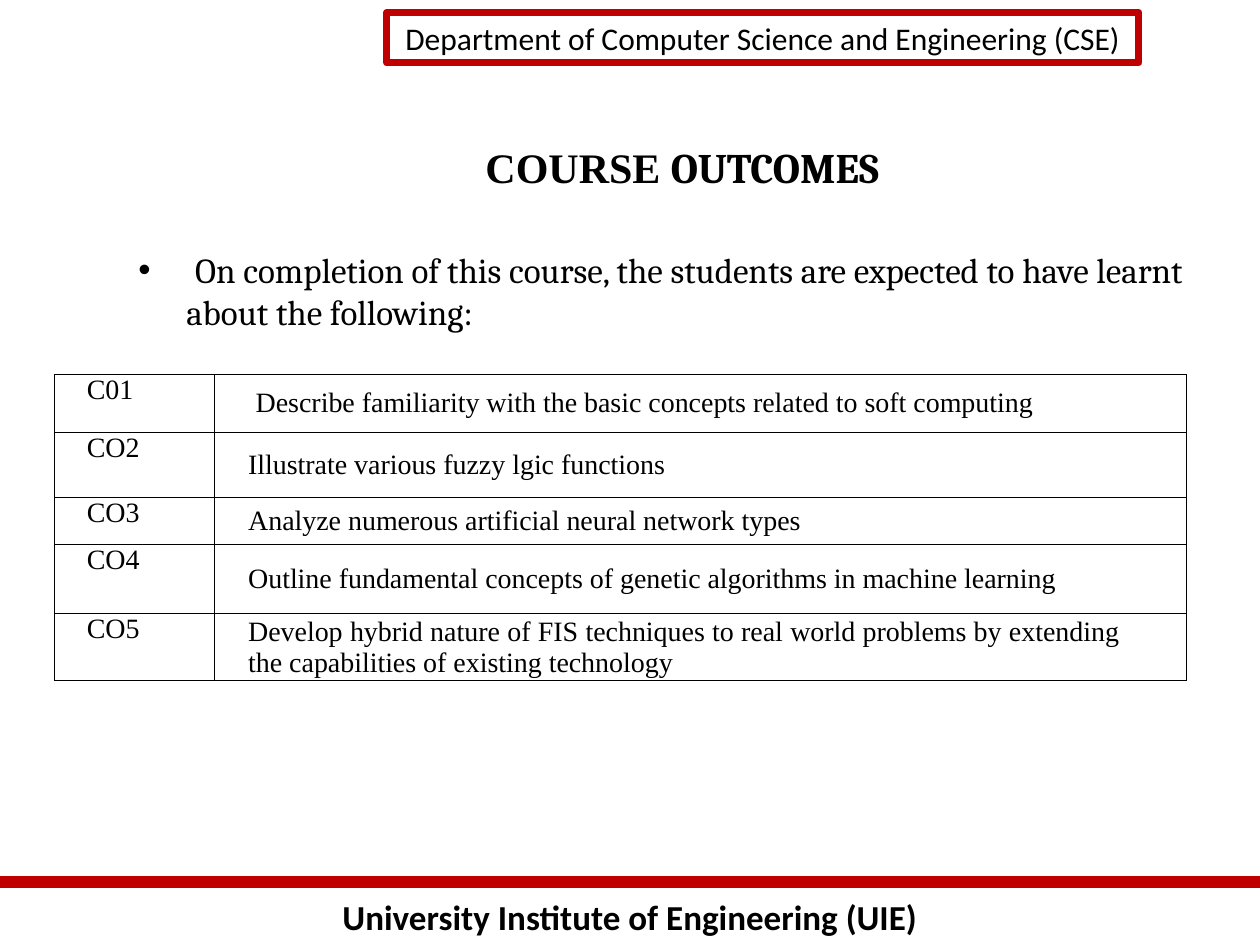
from lxml import etree
from pptx import Presentation
from pptx.dml.color import RGBColor
from pptx.enum import shapes, text
from pptx.oxml import parse_xml
from pptx.oxml.ns import nsdecls, qn
from pptx.util import Inches, Pt

BLACK = RGBColor(0, 0, 0)
RED = RGBColor(0xC0, 0, 0)
SANS, SERIF, TIMES = "Calibri", "Cambria", "Times New Roman"
MID, TOP = text.MSO_ANCHOR.MIDDLE, text.MSO_ANCHOR.TOP
MARGINS = (0.1, 0.05, 0.1, 0.05)
ROWS = [
    ("C01", "Describe familiarity with the basic concepts related to soft computing", 0.46),
    ("CO2", "Illustrate various fuzzy lgic functions", 0.52),
    ("CO3", "Analyze numerous artificial neural network types", 0.37),
    ("CO4", "Outline fundamental concepts of genetic algorithms in machine learning", 0.55),
    ("CO5", "Develop hybrid nature of FIS techniques to real world problems "
            "by extending the capabilities of existing technology", 0.49),
]


def write(frame, runs, size=16, bold=False, align="LEFT", indent=0, bullet=None):
    """Write (words, font) runs into the first paragraph of a frame."""
    para = frame.paragraphs[0]
    para.alignment = getattr(text.PP_ALIGN, align)
    props = para._p.get_or_add_pPr()
    if indent:
        props.set("marL", str(Inches(indent)))
    if bullet:
        props.set("indent", str(-Inches(indent)))
        etree.SubElement(props, qn("a:buFont")).set("typeface", "Arial")
        etree.SubElement(props, qn("a:buChar")).set("char", bullet)
    for words, name in runs:
        run = para.add_run()
        run.text = words
        font = run.font
        font.name, font.size, font.bold = name, Pt(size), bold
        font.color.rgb = BLACK


def setup(frame, anchor=TOP, margins=MARGINS):
    """Set wrapping, anchor and margins of a text frame."""
    frame.word_wrap = True
    frame.vertical_anchor = anchor
    (frame.margin_left, frame.margin_top,
     frame.margin_right, frame.margin_bottom) = map(Inches, margins)
    return frame


def label(slide, box, runs, anchor=TOP, margins=MARGINS, **style):
    """Add a text box."""
    shape = slide.shapes.add_textbox(*map(Inches, box))
    write(setup(shape.text_frame, anchor, margins), runs, **style)


def header(slide, box):
    """Add the framed department name."""
    shape = slide.shapes.add_shape(shapes.MSO_SHAPE.RECTANGLE, *map(Inches, box))
    shape.shadow.inherit = False
    shape.fill.background()
    shape.line.color.rgb = RED
    shape.line.width = Pt(4)
    name = "Department of Computer Science and Engineering (CSE)"
    write(setup(shape.text_frame), [(name, SANS)], size=18, align="CENTER")


def footer(slide, box):
    """Add the red rule and the institute name below it."""
    left, top, width, height = box
    ends = map(Inches, (left, top, left + width, top))
    rule = slide.shapes.add_connector(shapes.MSO_CONNECTOR.STRAIGHT, *ends)
    rule.line.color.rgb = RED
    rule.line.width = Pt(7)
    etree.SubElement(rule._element.spPr, qn("a:effectLst"))
    label(slide, (left, top + 0.06, width, height - 0.06),
          [("University Institute of Engineering (UIE)", SANS)],
          size=20, bold=True, align="CENTER")


def border(cell):
    """Draw thin black lines around a cell."""
    props = cell._tc.get_or_add_tcPr()
    for spot, side in enumerate("LRTB"):
        props.insert(spot, parse_xml(
            f'<a:ln{side} {nsdecls("a")} w="{Pt(0.5)}"><a:solidFill>'
            f'<a:srgbClr val="{BLACK}"/></a:solidFill></a:ln{side}>'))


def fill(cell, words, anchor, side, indent, right):
    """Format one cell and write its words."""
    cell.fill.background()
    border(cell)
    cell.vertical_anchor = anchor
    cell.margin_left, cell.margin_right = Inches(side), Inches(right)
    cell.margin_top = cell.margin_bottom = 0
    write(cell.text_frame, [(words, TIMES)], align="JUSTIFY", indent=indent)


def grid(slide, box):
    """Add the table of outcomes."""
    frame = slide.shapes.add_table(len(ROWS), 2, *map(Inches, box))
    table = frame.table
    table.first_row = table.horz_banding = False
    table.columns[0].width = Inches(1.27)
    table.columns[1].width = Inches(box[2] - 1.27)
    for row, (code, words, height) in enumerate(ROWS):
        table.rows[row].height = Inches(height)
        last = row == len(ROWS) - 1
        fill(table.cell(row, 0), code, TOP, 0.07, 0.19, 0.07)
        fill(table.cell(row, 1), words, MID, 0.08,
             0.19 if row else 0.25, 0.53 if last else 0.08)


def main():
    """Build and save the slide."""
    deck = Presentation()
    deck.slide_width, deck.slide_height = Inches(10), Inches(7.5)
    slide = deck.slides.add_slide(deck.slide_layouts[6])
    footer(slide, (0, 7, 10, 0.5))
    header(slide, (3.07, 0.1, 5.97, 0.4))
    label(slide, (1.08, 1.17, 8.67, 0.67),
          [("COURSE ", TIMES), ("OUTCOMES", SERIF)], anchor=MID,
          margins=(0.1, 0.05, 0.1, 0.41), size=24, bold=True, align="CENTER")
    label(slide, (1, 1.92, 8.75, 4.92),
          [(" ", TIMES), ("On completion of this course, the students are expected "
                          "to have learnt about the following:", SERIF)],
          size=20, indent=0.38, bullet="•")
    grid(slide, (0.43, 2.97, 8.99, sum(row[2] for row in ROWS)))
    deck.save("out.pptx")


if __name__ == "__main__":
    main()
